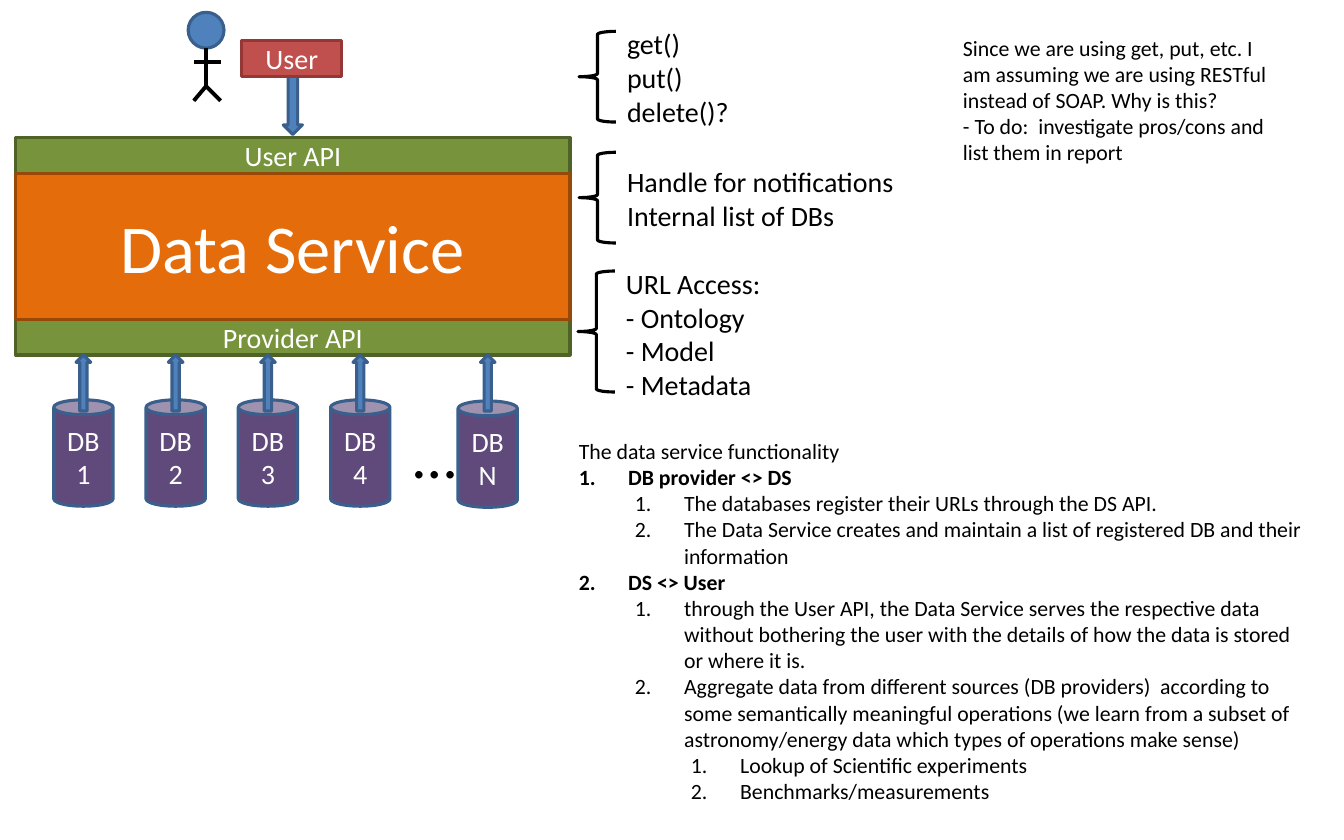
from dataclasses import dataclass

from lxml import etree
from pptx import Presentation
from pptx.dml.color import RGBColor
from pptx.enum.shapes import MSO_CONNECTOR, MSO_SHAPE
from pptx.enum.text import MSO_ANCHOR, MSO_AUTO_SIZE, PP_ALIGN
from pptx.oxml.ns import qn
from pptx.util import Inches, Pt

RECT, CAN, OVAL = MSO_SHAPE.RECTANGLE, MSO_SHAPE.CAN, MSO_SHAPE.OVAL
BRACE = MSO_SHAPE.LEFT_BRACE
UP, DOWN = MSO_SHAPE.UP_ARROW, MSO_SHAPE.DOWN_ARROW
STRAIGHT = MSO_CONNECTOR.STRAIGHT
LEFT, CENTER = PP_ALIGN.LEFT, PP_ALIGN.CENTER
TOP, MIDDLE = MSO_ANCHOR.TOP, MSO_ANCHOR.MIDDLE
FIT = MSO_AUTO_SIZE.SHAPE_TO_FIT_TEXT

WIDTH, HEIGHT = Inches(12), Inches(7.5)
COLS, ROWS = 120, 75


@dataclass(frozen=True)
class Theme:
    font: str = "Calibri"
    ink: str = "000000"
    white: str = "FFFFFF"
    # (fill, outline) pairs
    api: tuple = ("77933C", "4F6228")
    service: tuple = ("E46C0A", "984807")
    user: tuple = ("C0504D", "953735")
    blue: tuple = ("4F81BD", "3A5F8C")
    database: tuple = ("604A7B", "3A5F8C")
    brace: tuple = (None, "000000")
    note: int = 14
    label: int = 18
    dots: int = 40
    title: int = 44
    outline: float = 2
    limb: float = 2.5


def rgb(code):
    return RGBColor.from_string(code)


def write(tf, lines, *, font, size, color, align=LEFT, anchor=TOP, wrap=True):
    """Fill a text frame; a line is a string or a (level, string) pair of a numbered list."""
    tf.word_wrap = wrap
    tf.vertical_anchor = anchor
    for i, line in enumerate(lines):
        level, text = (None, line) if isinstance(line, str) else line
        p = tf.paragraphs[0] if i == 0 else tf.add_paragraph()
        p.alignment = align
        r = p.add_run()
        r.text = text
        r.font.name, r.font.size = font, Pt(size)
        r.font.color.rgb = rgb(color)
        if level is not None:
            r.font.bold = level == 0
            number(p, level)


def number(p, level):
    p.level = level
    pPr = p._p.get_or_add_pPr()
    pPr.set("marL", str(Inches(0.44 + level / 2)))
    pPr.set("indent", str(-Inches(0.44)))
    etree.SubElement(pPr, qn("a:buAutoNum"), type="arabicPeriod")


class Board:
    """Draws on one slide; positions are columns and rows of the grid."""

    def __init__(self, s, theme):
        self.s, self.theme = s, theme

    def x(self, cols):
        return round(WIDTH * cols / COLS)

    def y(self, rows):
        return round(HEIGHT * rows / ROWS)

    def box(self, col, row, cols, rows):
        return self.x(col), self.y(row), self.x(cols), self.y(rows)

    def shape(self, kind, at, colors, text=None, size=None):
        sp = self.s.shapes.add_shape(kind, *self.box(*at))
        sp.shadow.inherit = False
        fill, outline = colors
        if fill:
            sp.fill.solid()
            sp.fill.fore_color.rgb = rgb(fill)
        else:
            sp.fill.background()
        sp.line.color.rgb = rgb(outline)
        sp.line.width = Pt(self.theme.outline)
        if text:
            write(sp.text_frame, [text], font=self.theme.font,
                  size=size or self.theme.label, color=self.theme.white,
                  align=CENTER, anchor=MIDDLE)

    def text(self, at, lines, size, wrap=True):
        tf = self.s.shapes.add_textbox(*self.box(*at)).text_frame
        write(tf, lines, font=self.theme.font, size=size,
              color=self.theme.ink, wrap=wrap)
        tf.auto_size = FIT

    def line(self, start, end):
        c = self.s.shapes.add_connector(
            STRAIGHT, self.x(start[0]), self.y(start[1]), self.x(end[0]), self.y(end[1]))
        c.line.color.rgb = rgb(self.theme.ink)
        c.line.width = Pt(self.theme.limb)
        etree.SubElement(c._element.spPr, qn("a:effectLst"))

    def person(self, center, top):
        self.shape(OVAL, (center - 1.6, top, 3.2, 3.2), self.theme.blue)
        neck, hip = (center, top + 3.2), (center, top + 6.6)
        self.line(neck, hip)
        for side in (1.3, -1.1):
            self.line(hip, (center + side, top + 7.9))
        self.line((center + 1.3, top + 4.4), (center - 1.1, top + 4.4))

    def database(self, col, row, name):
        self.shape(CAN, (col, row, 5.3, 9.5), self.theme.database, name)

    def callout(self, brace, label, lines):
        self.shape(BRACE, brace, self.theme.brace)
        self.text(label, lines, self.theme.label, wrap=False)


FUNCTIONS = [
    "The data service functionality",
    (0, "DB provider <> DS"),
    (1, "The databases register their URLs through the DS API."),
    (1, "The Data Service creates and maintain a list of registered DB "
        "and their information"),
    (0, "DS <> User"),
    (1, "through the User API, the Data Service serves the respective data without "
        "bothering the user with the details of how the data is stored or where it is."),
    (1, "Aggregate data from different sources (DB providers)  according to some "
        "semantically meaningful operations (we learn from a subset of "
        "astronomy/energy data which types of operations make sense)"),
    (2, "Lookup of Scientific experiments"),
    (2, "Benchmarks/measurements"),
]
CALLOUTS = [
    ((51.7, 2.8, 3.3, 8.1), (55, 1.9, 11.5, 10.1), ["get()", "put()", "delete()?"]),
    ((51.7, 13.6, 3.3, 8.1), (55, 14.2, 26.1, 7.1),
     ["Handle for notifications", "Internal list of DBs"]),
    ((51.6, 24.2, 3.3, 10.8), (54.9, 23.3, 14.2, 13.1),
     ["URL Access:", "- Ontology", "- Model", "- Metadata"]),
]
REST_NOTE = [
    "Since we are using get, put, etc. I am assuming we are using RESTful "
    "instead of SOAP. Why is this?",
    "- To do:  investigate pros/cons and list them in report",
]


def main():
    prs = Presentation()
    prs.slide_width, prs.slide_height = WIDTH, HEIGHT
    theme = Theme()
    board = Board(prs.slides.add_slide(prs.slide_layouts[6]), theme)

    board.text((50.7, 38.6, 67.7, 36.4), FUNCTIONS, theme.note)
    for callout in CALLOUTS:
        board.callout(*callout)

    for row, name in ((12.3, "User API"), (28.5, "Provider API")):
        board.shape(RECT, (1.4, row, 49.5, 3.2), theme.api, name)
    board.shape(RECT, (1.4, 15.5, 49.5, 13), theme.service, "Data Service", theme.title)

    board.person(18.4, 1.1)

    databases = [(4.8 + 8.24 * i, 35.7, f"DB{i + 1}") for i in range(4)]
    databases.append((40.9, 35.8, "DBN"))
    for database in databases:
        board.database(*database)
    board.text((35.9, 36.7, 4.5, 5.9), ["…"], theme.dots, wrap=False)
    for col, _, _ in databases:
        board.shape(UP, (col + 2, 31.7, 1.3, 5), theme.blue)

    board.shape(DOWN, (25.3, 6.8, 1.7, 5.2), theme.blue)
    board.shape(RECT, (21.6, 3.6, 8.9, 3.2), theme.user, "User")
    board.text((85, 2.6, 30.3, 12.8), REST_NOTE, theme.note)

    prs.save("out.pptx")


if __name__ == "__main__":
    main()
